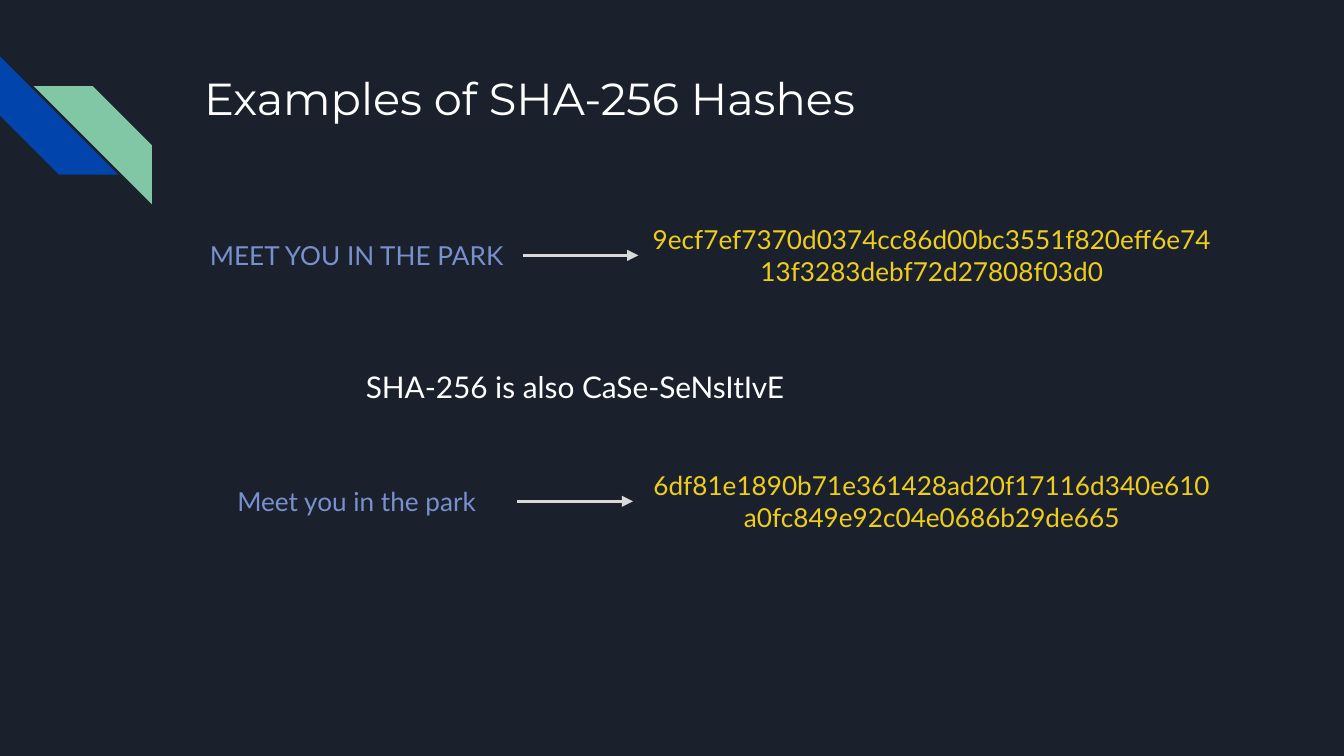
from pptx import Presentation
from pptx.dml.color import RGBColor as Rgb
from pptx.enum.shapes import MSO_CONNECTOR as Link, MSO_SHAPE as Geo
from pptx.enum.text import MSO_ANCHOR as Anchor, MSO_AUTO_SIZE as Fit, PP_ALIGN as Align
from pptx.oxml.ns import qn
from pptx.util import Inches, Pt
from lxml.etree import SubElement as Sub

TITLE = "Examples of SHA-256 Hashes"
NOTE = "SHA-256 is also CaSe-SeNsItIvE"
PAIRS = [
    {"plain": "MEET YOU IN THE PARK",
     "hash": "9ecf7ef7370d0374cc86d00bc3551f820eff6e7413f3283debf72d27808f03d0",
     "mid": 1.9, "shift": 0},
    {"plain": "Meet you in the park",
     "hash": "6df81e1890b71e361428ad20f17116d340e610a0fc849e92c04e0686b29de665",
     "mid": 3.73, "shift": -0.04},
]
THEME = {
    "back": "1B212C", "blue": "0145AC", "green": "82C7A5", "line": "D9D9D9",
    "title": ("Montserrat", 24, "FFFFFF"),
    "note": ("Lato", 16, "FFFFFF"),
    "plain": ("Lato", 14, "7890CD"),
    "hash": ("Lato", 14, "EECE1A"),
}
STRIPES = [(0, 0.42, 270, "blue"), (0.25, 0.64, 90, "green")]
SIDE = 0.88
LEFT, RIGHT = 1.42, 9.12
PLAIN_W, PLAIN_H = 2.47, 0.44
HASH_W, HASH_H = 4.37, 0.67


def color(name):
    return Rgb.from_string(THEME.get(name, name))


def add_text(slide, text, style, x, y, w, h, align=Align.CENTER, fit=Fit.SHAPE_TO_FIT_TEXT):
    box = slide.shapes.add_textbox(*map(Inches, (x, y, w, h)))
    frame = box.text_frame
    frame.word_wrap = True
    frame.auto_size = fit
    frame.vertical_anchor = Anchor.TOP
    frame.margin_left = frame.margin_right = Inches(0.1)
    frame.margin_top = frame.margin_bottom = Inches(0.1)
    para = frame.paragraphs[0]
    para.alignment = align
    run = para.add_run()
    run.text = text
    face, size, tint = THEME[style]
    run.font.name = face
    run.font.size = Pt(size)
    run.font.color.rgb = color(tint)
    return box


def add_stripe(slide, x, y, turn, tint):
    shape = slide.shapes.add_shape(Geo.DIAGONAL_STRIPE, *map(Inches, (x, y, SIDE, SIDE)))
    shape.adjustments[0] = 0.5
    shape.rotation = turn
    shape.shadow.inherit = False
    shape.fill.solid()
    shape.fill.fore_color.rgb = color(tint)
    shape.line.fill.background()


def add_arrow(slide, start, end, y):
    arrow = slide.shapes.add_connector(Link.STRAIGHT, *map(Inches, (start, y, end, y)))
    arrow.line.color.rgb = color("line")
    arrow.line.width = Pt(1.5)
    props = arrow._element.spPr
    Sub(props.get_or_add_ln(), qn("a:tailEnd"), type="triangle")
    Sub(props, qn("a:effectLst"))
    return arrow


def add_pair(slide, pair):
    mid, shift = pair["mid"], pair["shift"]
    start, end = LEFT + PLAIN_W, RIGHT - HASH_W
    plain = add_text(slide, pair["plain"], "plain", LEFT, mid - PLAIN_H / 2, PLAIN_W, PLAIN_H)
    arrow = add_arrow(slide, start + shift, end + shift, mid)
    digest = add_text(slide, pair["hash"], "hash", end, mid - HASH_H / 2, HASH_W, HASH_H)
    if not shift:
        arrow.begin_connect(plain, 3)
        arrow.end_connect(digest, 1)


def main():
    deck = Presentation()
    deck.slide_width = Inches(10)
    deck.slide_height = Inches(10 * 9 / 16)
    slide = deck.slides.add_slide(deck.slide_layouts[6])
    slide.background.fill.solid()
    slide.background.fill.fore_color.rgb = color("back")
    for stripe in STRIPES:
        add_stripe(slide, *stripe)
    add_text(slide, TITLE, "title", LEFT, 0.43, RIGHT - LEFT, 1, Align.LEFT, Fit.NONE)
    upper, lower = PAIRS
    add_pair(slide, upper)
    add_text(slide, NOTE, "note", 2.21, 2.64, 4.14, 0.47)
    add_pair(slide, lower)
    deck.save("out.pptx")


if __name__ == "__main__":
    main()
